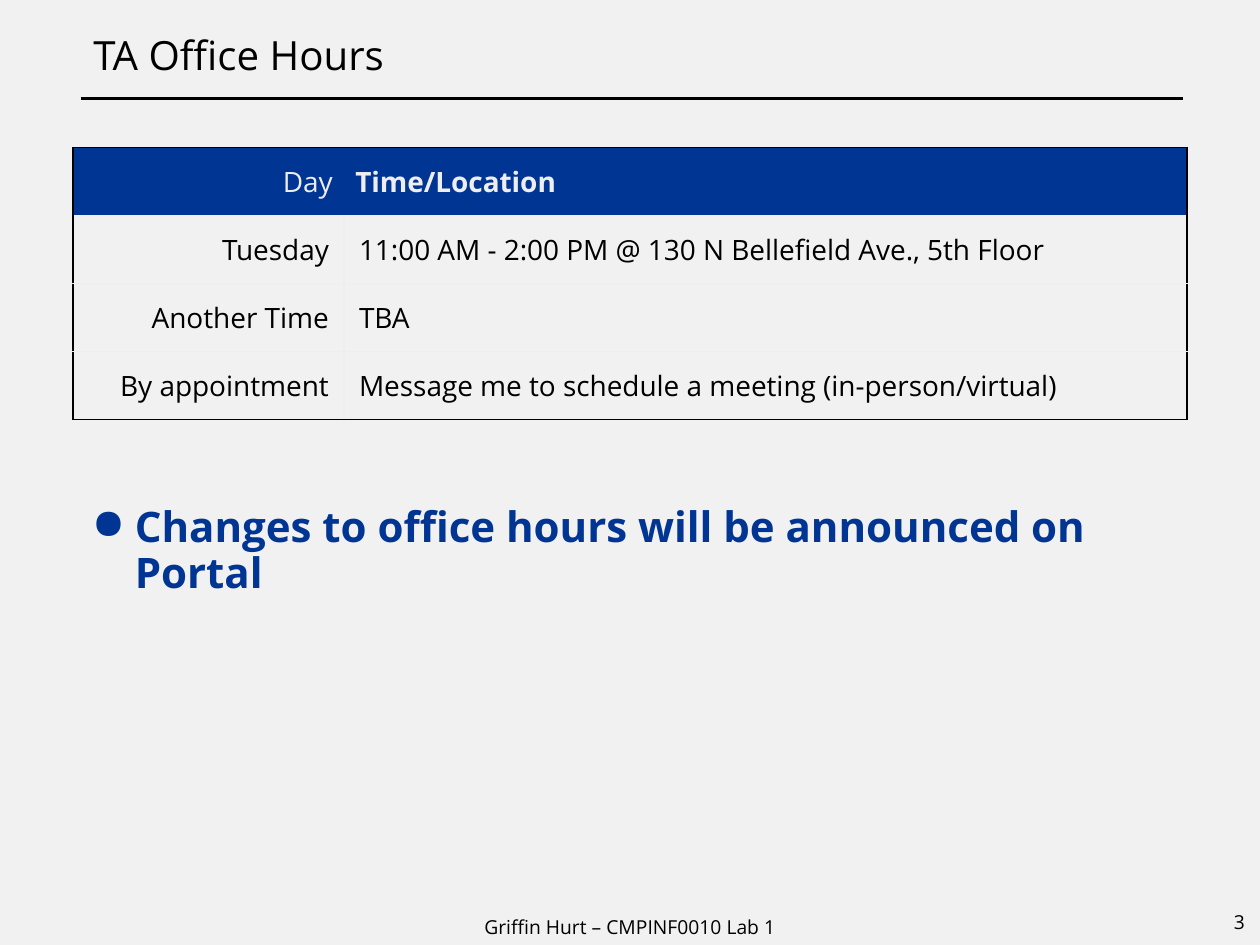
import lxml.etree
import pptx
import pptx.dml.color
import pptx.enum.shapes
import pptx.enum.text
import pptx.oxml.ns
import pptx.util

Inches = pptx.util.Inches
Pt = pptx.util.Pt
ALIGN = pptx.enum.text.PP_ALIGN
ANCHOR = pptx.enum.text.MSO_ANCHOR
qn = pptx.oxml.ns.qn

BLACK = "000000"
BLUE = "003594"
PALE = "EEEEEE"


def rgb(value):
    return pptx.dml.color.RGBColor.from_string(value)


def format_text(holder, text, size, color, bold=False, align=ALIGN.LEFT,
                anchor=ANCHOR.TOP, margins=(0.1, 0.05)):
    """Put one paragraph in a shape or cell; margins are horizontal, vertical."""
    frame = holder.text_frame
    frame.text = text
    frame.word_wrap = True
    holder_margins = holder if hasattr(holder, "margin_left") else frame
    holder_margins.margin_left = holder_margins.margin_right = Inches(margins[0])
    holder_margins.margin_top = holder_margins.margin_bottom = Inches(margins[1])
    holder_margins.vertical_anchor = anchor
    para = frame.paragraphs[0]
    para.alignment = align
    font = para.runs[0].font
    font.name = "Open Sans"
    font.size = Pt(size)
    font.bold = bold
    font.color.rgb = rgb(color)
    return para


deck = pptx.Presentation()
deck.slide_width = Inches(10)
deck.slide_height = Inches(7.5)
page = deck.slides.add_slide(deck.slide_layouts[5])
page.background.fill.solid()
page.background.fill.fore_color.rgb = rgb("F1F1F1")

# Title and the rule below it
title = page.shapes.title
title.left, title.top = Inches(0.62), Inches(0.03)
title.width, title.height = Inches(8.75), Inches(0.72)
title.text_frame.auto_size = pptx.enum.text.MSO_AUTO_SIZE.NONE
para = format_text(title, "TA Office Hours", 23, BLACK,
                   anchor=ANCHOR.BOTTOM, margins=(0.12, 0.12))
para.line_spacing = 0.9

rule = page.shapes.add_connector(
    pptx.enum.shapes.MSO_CONNECTOR.STRAIGHT,
    Inches(0.64), Inches(0.78), Inches(9.39), Inches(0.78))
rule.line.color.rgb = rgb(BLACK)
rule.line.width = Pt(1.5)
lxml.etree.SubElement(rule._element.spPr, qn("a:effectLst"))

# Announcement bullet
notice = page.shapes.add_textbox(Inches(0.62), Inches(3.91), Inches(8.74), Inches(1.67))
para = format_text(notice, "Changes to office hours will be announced on Portal",
                   24, BLUE, bold=True, margins=(0.11, 0.11))
para.line_spacing = 0.9
properties = para._p.get_or_add_pPr()
properties.set("marL", str(Inches(0.34)))
properties.set("indent", str(-Inches(0.34)))
lxml.etree.SubElement(properties, qn("a:buChar")).set("char", "●")

# Page number and footer
number = page.shapes.add_textbox(Inches(8.96), Inches(7.07), Inches(1.04), Inches(0.43))
format_text(number, "3", 11, BLACK, align=ALIGN.RIGHT,
            anchor=ANCHOR.BOTTOM, margins=(0.12, 0.12))
footer = page.shapes.add_textbox(Inches(3.31), Inches(7.1), Inches(3.38), Inches(0.4))
format_text(footer, "Griffin Hurt – CMPINF0010 Lab 1", 11, BLACK,
            align=ALIGN.CENTER, anchor=ANCHOR.BOTTOM)

# Office hours table
hours = [
    ("Day", "Time/Location"),
    ("Tuesday", "11:00 AM - 2:00 PM @ 130 N Bellefield Ave., 5th Floor"),
    ("Another Time", "TBA"),
    ("By appointment", "Message me to schedule a meeting (in-person/virtual)"),
]
last_row = len(hours) - 1
table = page.shapes.add_table(len(hours), 2, Inches(0.58), Inches(1.17),
                              Inches(8.84), Inches(2.16)).table
table.horz_banding = False
table.columns[0].width = Inches(2.15)
table.columns[1].width = Inches(6.69)

for row, texts in enumerate(hours):
    table.rows[row].height = Inches(0.54)
    header = row == 0
    for column, text in enumerate(texts):
        cell = table.cell(row, column)
        format_text(cell, text, 16, PALE if header else BLACK,
                    bold=header and column == 1,
                    align=ALIGN.LEFT if column else ALIGN.RIGHT,
                    anchor=ANCHOR.MIDDLE,
                    margins=(0.09, 0.05) if header else (0.12, 0.06))

        inner = None if header else PALE
        borders = {
            "a:lnL": inner if column else BLACK,
            "a:lnR": BLACK if column else inner,
            "a:lnT": BLACK if header else None if row == 1 else PALE,
            "a:lnB": BLACK if row == last_row else inner,
        }
        cell_properties = cell._tc.get_or_add_tcPr()
        for tag, color in borders.items():
            border = lxml.etree.SubElement(cell_properties, qn(tag))
            border.set("w", str(Pt(1)))
            if color:
                fill = lxml.etree.SubElement(border, qn("a:solidFill"))
                lxml.etree.SubElement(fill, qn("a:srgbClr")).set("val", color)
            else:
                lxml.etree.SubElement(border, qn("a:noFill"))

        if header:
            cell.fill.solid()
            cell.fill.fore_color.rgb = rgb(BLUE)
        else:
            cell.fill.background()

deck.save("out.pptx")
